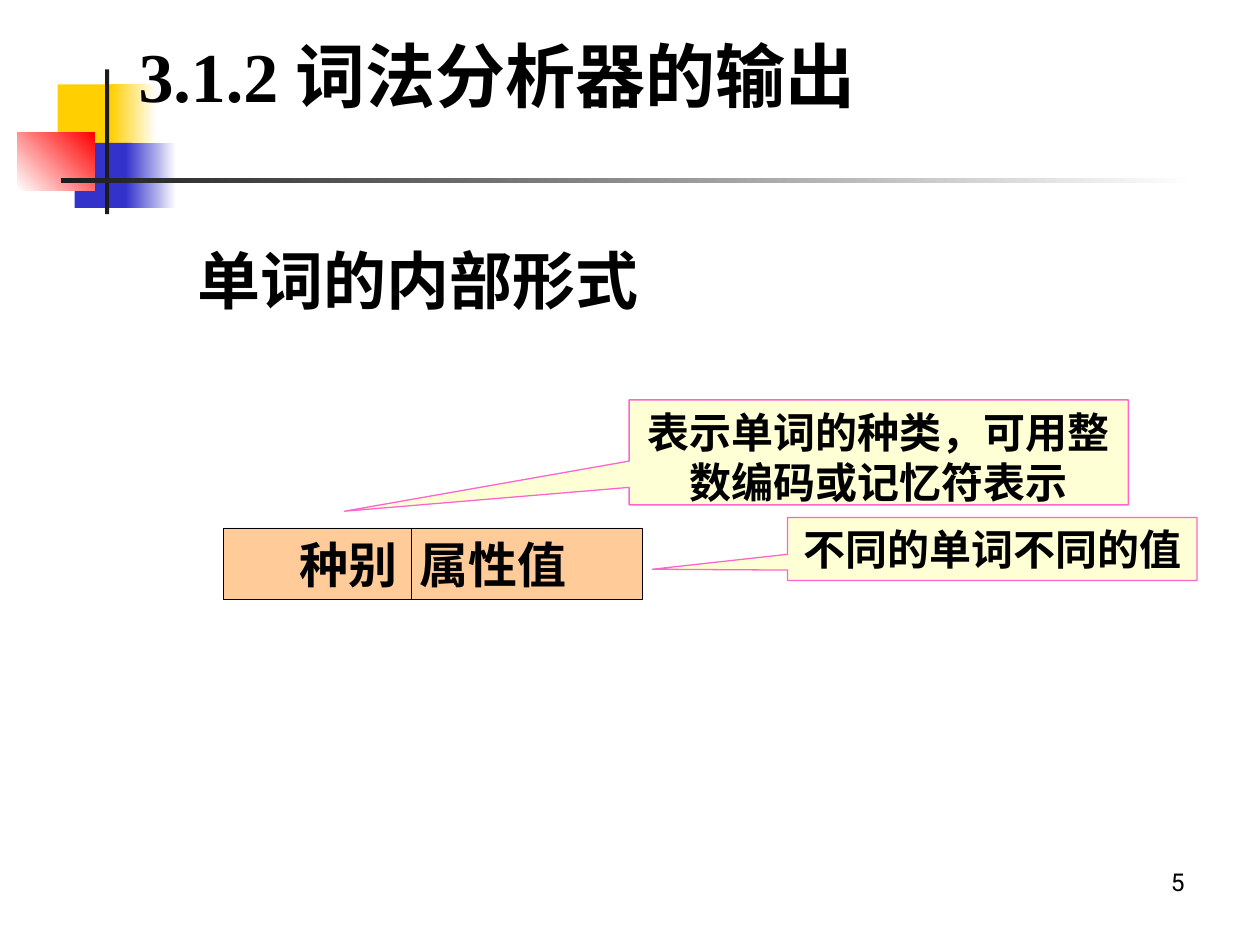
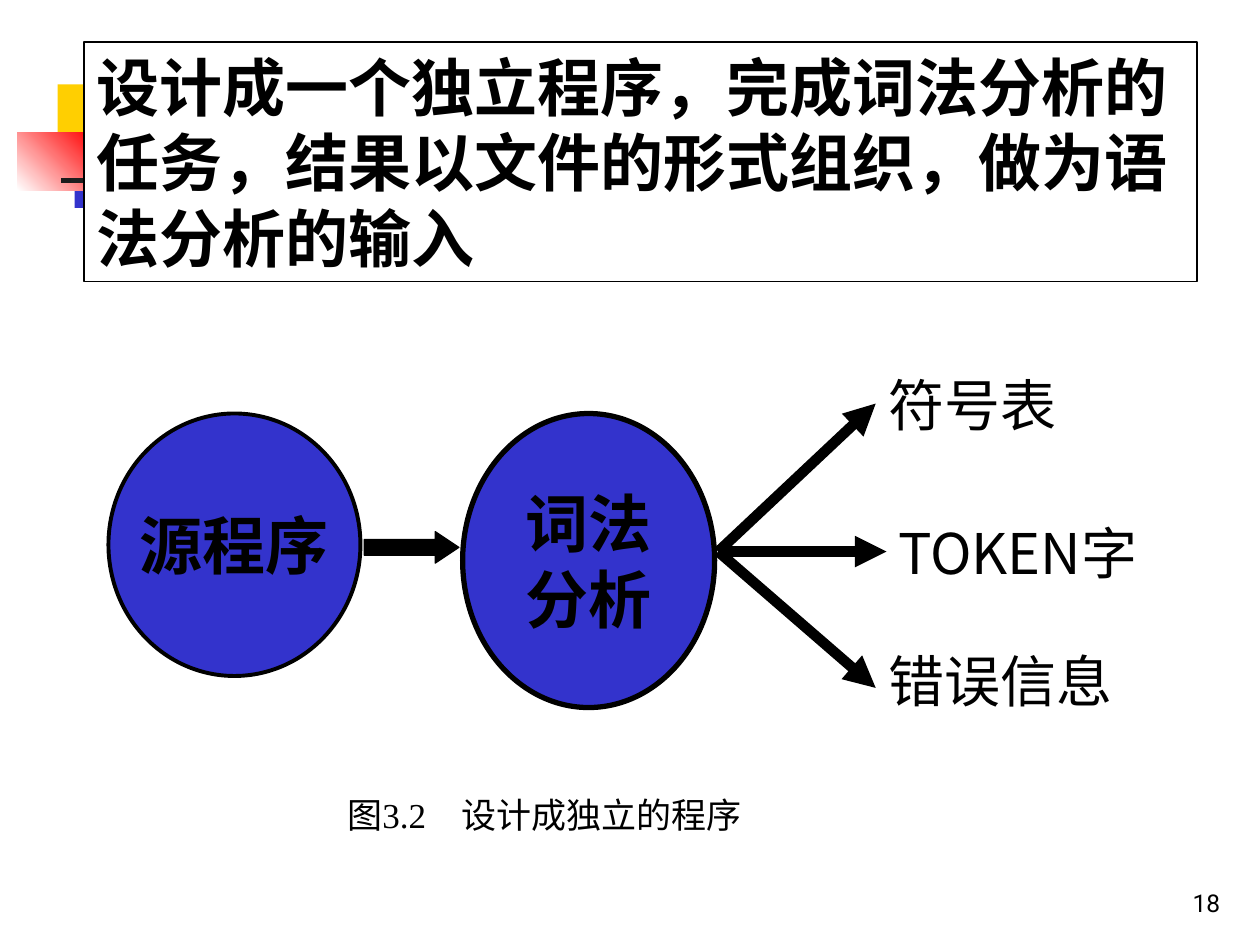
"""Build two lecture slides about the output and organisation of a lexical analyser."""
from dataclasses import dataclass
from typing import NamedTuple, Optional

from lxml.etree import SubElement
from pptx import Presentation
from pptx.dml.color import RGBColor
from pptx.enum.shapes import MSO_CONNECTOR, MSO_SHAPE
from pptx.enum.text import MSO_ANCHOR, MSO_AUTO_SIZE, PP_ALIGN
from pptx.oxml.ns import qn
from pptx.util import Pt


@dataclass(frozen=True)
class Theme:
    """Colours, fonts and type sizes of the presentation."""
    black: str = "000000"
    white: str = "FFFFFF"
    charcoal: str = "1C1C1C"
    yellow: str = "FFCF01"
    blue: str = "3333CC"
    red: str = "FF0000"
    orange: str = "FFCC99"
    cream: str = "FFFFD5"
    pink: str = "FF66CC"
    serif: str = "Times New Roman"
    chinese: str = "Noto Sans CJK SC"
    number_font: str = "Roboto"
    title_size: float = 40
    heading_size: float = 36
    label_size: float = 32
    cell_size: float = 28
    callout_size: float = 24
    caption_size: float = 20
    number_size: float = 14


THEME = Theme()


class Box(NamedTuple):
    """Left, top, width and height in points."""
    left: float
    top: float
    width: float
    height: float

    @property
    def right(self) -> float:
        """Return the right edge."""
        return self.left + self.width

    @property
    def bottom(self) -> float:
        """Return the lower edge."""
        return self.top + self.height

    def lengths(self) -> list:
        """Return the four lengths for python-pptx."""
        return [Pt(value) for value in self]

    def covers(self, other: "Box") -> bool:
        """Tell whether the other box lies wholly inside this one."""
        return (self.left <= other.left and self.top <= other.top
                and self.right >= other.right and self.bottom >= other.bottom)


class Decoration(NamedTuple):
    """A bar or block of the shared corner ornament."""
    box: Box
    color: str
    end_color: Optional[str] = None
    angle: float = 0


class Callout(NamedTuple):
    """A speech callout whose pointer is given relative to its size."""
    box: Box
    text: str
    pointer: tuple


class Process(NamedTuple):
    """An ellipse in the processing chain."""
    box: Box
    text: str
    line_width: float


class Output(NamedTuple):
    """A result label with the tip of the arrow that leads to it."""
    box: Box
    text: str
    tip: tuple


DECORATIONS = [
    Decoration(Box(33, 48.2, 34.5, 37.5), THEME.yellow),
    Decoration(Box(63.2, 48.2, 26, 37.5), THEME.yellow, THEME.white),
    Decoration(Box(42.7, 81.7, 33, 37.2), THEME.blue),
    Decoration(Box(72, 81.7, 28.8, 37.2), THEME.blue, THEME.white),
    Decoration(Box(10, 75.6, 44, 33.1), THEME.white, THEME.red, 45),
    Decoration(Box(60, 39.6, 2.4, 82.8), THEME.charcoal),
    Decoration(Box(34.8, 101.9, 648, 2.9), THEME.charcoal, THEME.white),
]

CALLOUTS = [
    Callout(Box(359.5, 228.5, 285.3, 60), "表示单词的种类，可用整数编码或记忆符表示", (-1.07, 0.56)),
    Callout(Box(450, 295.8, 234, 36), "不同的单词不同的值", (-0.83, 0.32)),
]

PROCESSES = [
    Process(Box(62, 236.3, 144, 150), "源程序", 2.25),
    Process(Box(264.4, 236.3, 144, 168), "词法\n分析", 3),
]

ARROW_START = (410.4, 315.2)
OUTPUTS = [
    Output(Box(500.4, 208, 144, 46), "符号表", (500.4, 230.6)),
    Output(Box(506.2, 292.6, 180, 46), "TOKEN字", (506.6, 315.2)),
    Output(Box(500.4, 365.8, 174, 46), "错误信息", (500.4, 393.1)),
]


def rgb(color: str) -> RGBColor:
    """Turn a hexadecimal colour into an RGBColor."""
    return RGBColor.from_string(color)


def write_text(shape, text: str, *, size: float, font: str = THEME.chinese, bold: bool = False,
               align=PP_ALIGN.LEFT, anchor=MSO_ANCHOR.TOP, wrap: bool = True,
               space_before: float = 0) -> None:
    """Fill a shape with formatted text, one paragraph per line."""
    frame = shape.text_frame
    frame.text = text
    frame.auto_size = MSO_AUTO_SIZE.NONE
    frame.word_wrap = wrap
    frame.vertical_anchor = anchor
    for paragraph in frame.paragraphs:
        paragraph.alignment = align
        paragraph.space_before = Pt(space_before)
        for run in paragraph.runs:
            run.font.size = Pt(size)
            run.font.bold = bold
            run.font.name = font
            run.font.color.rgb = rgb(THEME.black)
            east_asian = SubElement(run.font._element, qn("a:ea"))
            east_asian.set("typeface", THEME.chinese)


def paint(shape, fill: Optional[str] = None, line: Optional[str] = None,
          line_width: float = 0.75) -> None:
    """Set the fill and outline of a shape; None leaves either empty."""
    if fill:
        shape.fill.solid()
        shape.fill.fore_color.rgb = rgb(fill)
    else:
        shape.fill.background()
    if line:
        shape.line.color.rgb = rgb(line)
        shape.line.width = Pt(line_width)
    else:
        shape.line.fill.background()


def add_shape(slide, kind, box: Box, fill: Optional[str] = None, line: Optional[str] = None,
              line_width: float = 0.75, adjustments: tuple = ()):
    """Add a preset shape without shadow."""
    shape = slide.shapes.add_shape(kind, *box.lengths())
    shape.shadow.inherit = False
    paint(shape, fill, line, line_width)
    for index, value in enumerate(adjustments):
        shape.adjustments[index] = value
    return shape


def add_line(slide, start: tuple, end: tuple, width: float, arrow: bool = False) -> None:
    """Add a straight black line, with an arrowhead at its end if wanted."""
    points = [Pt(value) for value in (*start, *end)]
    connector = slide.shapes.add_connector(MSO_CONNECTOR.STRAIGHT, *points)
    connector.line.color.rgb = rgb(THEME.black)
    connector.line.width = Pt(width)
    if arrow:
        SubElement(connector.line._get_or_add_ln(), qn("a:tailEnd")).set("type", "triangle")
    SubElement(connector.element.spPr, qn("a:effectLst"))


def add_decoration(slide, decoration: Decoration) -> None:
    """Draw one part of the corner ornament."""
    shape = add_shape(slide, MSO_SHAPE.RECTANGLE, decoration.box, decoration.color)
    if decoration.end_color:
        shape.fill.gradient()
        shape.fill.gradient_angle = decoration.angle
        colors = (decoration.color, decoration.end_color)
        for stop, color in zip(shape.fill.gradient_stops, colors):
            stop.color.rgb = rgb(color)


def start_slide(presentation, title_box: Box, text: str, fill: Optional[str] = None,
                line: Optional[str] = None, **text_format):
    """Add a slide with the ornament parts that its title leaves visible, and the title on top."""
    slide = presentation.slides.add_slide(presentation.slide_layouts.get_by_name("Title Only"))
    for decoration in DECORATIONS:
        if not (fill and title_box.covers(decoration.box)):
            add_decoration(slide, decoration)
    title = slide.shapes.title
    title.left, title.top, title.width, title.height = title_box.lengths()
    paint(title, fill, line)
    write_text(title, text, bold=True, **text_format)
    slide.shapes.element.append(title.element)
    return slide


def add_text(slide, box: Box, text: str, **text_format) -> None:
    """Add a text box."""
    write_text(slide.shapes.add_textbox(*box.lengths()), text, **text_format)


def add_page_number(slide, number: str, box: Box, anchor) -> None:
    """Add the page number at the lower right."""
    add_text(slide, box, number, size=THEME.number_size, font=THEME.number_font,
             align=PP_ALIGN.RIGHT, anchor=anchor)


def build_output_slide(presentation) -> None:
    """Show the internal form of a token."""
    slide = start_slide(presentation, Box(48, 15.1, 481, 55.4), "3.1.2 词法分析器的输出 ",
                        size=THEME.title_size, font=THEME.serif, align=PP_ALIGN.CENTER)
    add_page_number(slide, "5", Box(516, 492, 168, 37.5), MSO_ANCHOR.TOP)
    heading = add_shape(slide, MSO_SHAPE.ROUNDED_RECTANGLE, Box(104.6, 123.5, 550, 72),
                        adjustments=(0.05,))
    write_text(heading, "单词的内部形式", size=THEME.heading_size, font=THEME.serif, bold=True,
               anchor=MSO_ANCHOR.MIDDLE, wrap=False)
    token = add_shape(slide, MSO_SHAPE.RECTANGLE, Box(127.6, 301.6, 239.6, 41),
                      THEME.orange, THEME.black, 0.25)
    write_text(token, "种别  属性值", size=THEME.cell_size, bold=True,
               align=PP_ALIGN.CENTER, anchor=MSO_ANCHOR.MIDDLE)
    add_line(slide, (235.2, 302.4), (235.2, 342.6), 0.25)
    for callout in CALLOUTS:
        shape = add_shape(slide, MSO_SHAPE.RECTANGULAR_CALLOUT, callout.box,
                          THEME.cream, THEME.pink, adjustments=callout.pointer)
        write_text(shape, callout.text, size=THEME.callout_size, font=THEME.serif, bold=True,
                   align=PP_ALIGN.CENTER)


def build_program_slide(presentation) -> None:
    """Show lexical analysis as an independent program."""
    slide = start_slide(presentation, Box(48, 24, 636, 136.8),
                        "设计成一个独立程序，完成词法分析的任务，结果以文件的形式组织，做为语法分析的输入",
                        THEME.white, THEME.black, size=THEME.heading_size, space_before=4.5)
    add_page_number(slide, "18", Box(554.4, 491.6, 150, 36), MSO_ANCHOR.BOTTOM)
    for process in PROCESSES:
        shape = add_shape(slide, MSO_SHAPE.OVAL, process.box, THEME.blue, THEME.black,
                          process.line_width)
        write_text(shape, process.text, size=THEME.heading_size, bold=True,
                   align=PP_ALIGN.CENTER, anchor=MSO_ANCHOR.MIDDLE, wrap=False)
    add_shape(slide, MSO_SHAPE.RIGHT_ARROW, Box(208.2, 303.8, 54, 18), THEME.black, THEME.black,
              adjustments=(0.5, 0.75))
    for output in OUTPUTS:
        add_line(slide, ARROW_START, output.tip, 6, arrow=True)
        add_text(slide, output.box, output.text, size=THEME.label_size, space_before=20)
    caption = add_shape(slide, MSO_SHAPE.RECTANGLE, Box(191.4, 450, 253.4, 42.5), THEME.white)
    write_text(caption, "图3.2　设计成独立的程序", size=THEME.caption_size, font=THEME.serif,
               align=PP_ALIGN.JUSTIFY)


def main() -> None:
    """Create and save the presentation."""
    presentation = Presentation()
    presentation.slide_width, presentation.slide_height = Pt(720), Pt(540)
    build_output_slide(presentation)
    build_program_slide(presentation)
    presentation.save("out.pptx")


if __name__ == "__main__":
    main()
